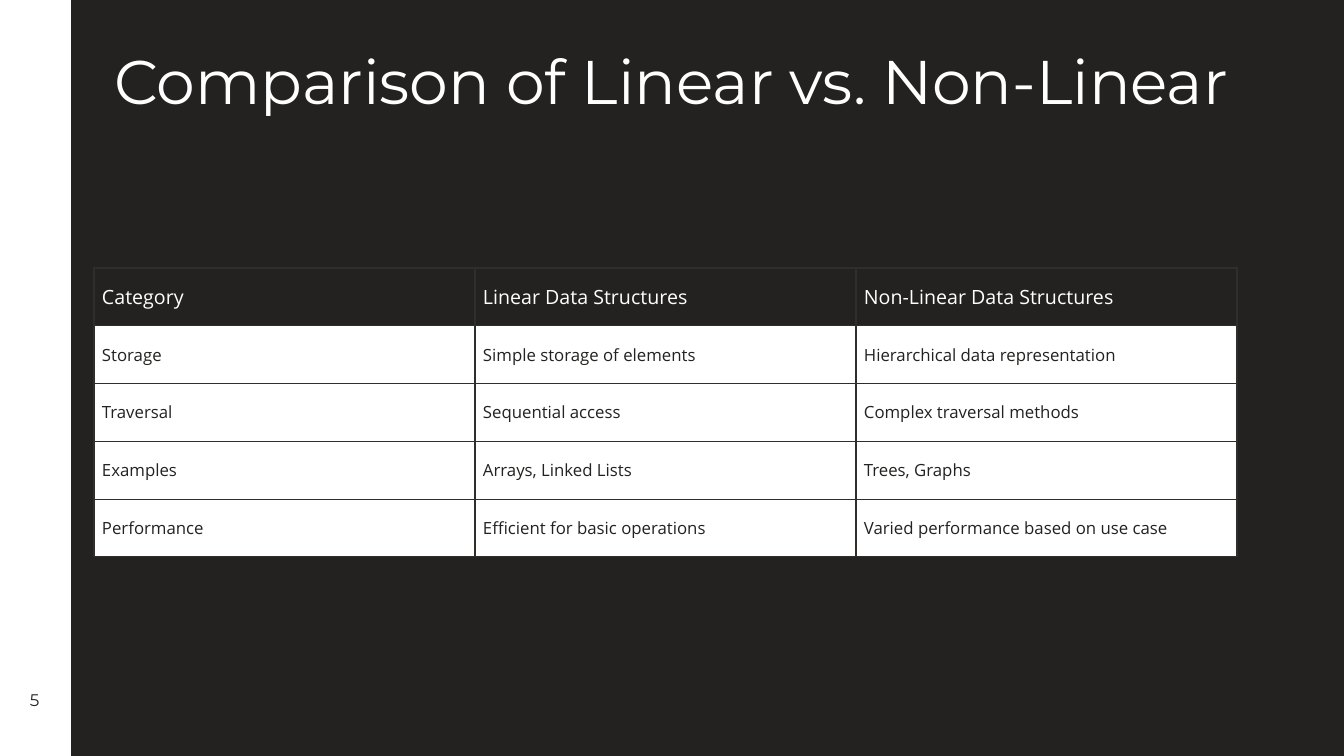
from pptx import Presentation
from pptx.dml.color import RGBColor
from pptx.enum.shapes import MSO_CONNECTOR, MSO_SHAPE
from pptx.enum.text import MSO_ANCHOR, PP_ALIGN
from pptx.oxml import parse_xml
from pptx.oxml.ns import nsdecls
from pptx.util import Pt

TITLE = "Comparison of Linear vs. Non-Linear"
NUMBER = "5"
ROWS = [
    ("Category", "Linear Data Structures", "Non-Linear Data Structures"),
    ("Storage", "Simple storage of elements", "Hierarchical data representation"),
    ("Traversal", "Sequential access", "Complex traversal methods"),
    ("Examples", "Arrays, Linked Lists", "Trees, Graphs"),
    ("Performance", "Efficient for basic operations", "Varied performance based on use case"),
]
DARK = RGBColor(0x23, 0x22, 0x20)
WHITE = RGBColor(0xFF, 0xFF, 0xFF)
EDGE = RGBColor(0x2F, 0x2E, 0x2C)
HEAD, BODY = "Montserrat", "Open Sans"
WIDE, HIGH, BAR = 1344, 756, 70


def px(n):
    return round(n * 914400 / 100.8)


def box(*sides):
    return [px(n) for n in sides]


def style(para, face, size, color):
    for run in para.runs:
        font = run.font
        font.name, font.size, font.bold = face, Pt(size), False
        font.color.rgb = color


def border(cell):
    props = cell._tc.get_or_add_tcPr()
    for i, side in enumerate(("lnL", "lnR", "lnT", "lnB")):
        line = parse_xml(
            f'<a:{side} {nsdecls("a")} w="{Pt(1)}"><a:solidFill>'
            f'<a:srgbClr val="{EDGE}"/></a:solidFill></a:{side}>')
        props.insert(i, line)


def panel(slide):
    bar = slide.shapes.add_shape(MSO_SHAPE.RECTANGLE, *box(0, 0, BAR, HIGH))
    bar.shadow.inherit = False
    bar.fill.solid()
    bar.fill.fore_color.rgb = WHITE
    bar.line.fill.background()
    rule = slide.shapes.add_connector(MSO_CONNECTOR.STRAIGHT, *box(BAR, 0, BAR, HIGH))
    rule.line.color.rgb = WHITE
    rule.line.width = Pt(1.5)
    rule._element.spPr.append(parse_xml(f'<a:effectLst {nsdecls("a")}/>'))


def grid(slide):
    table = slide.shapes.add_table(
        len(ROWS), len(ROWS[0]), *box(94, 268, 1143, 289)).table
    table.horz_banding = False
    for r, row in enumerate(ROWS):
        fill, ink, size = (DARK, WHITE, 14) if r == 0 else (WHITE, DARK, 12)
        for c, text in enumerate(row):
            cell = table.cell(r, c)
            cell.text_frame.text = text
            cell.vertical_anchor = MSO_ANCHOR.MIDDLE
            cell.margin_left = cell.margin_right = px(8)
            cell.margin_top = cell.margin_bottom = px(8)
            cell.fill.solid()
            cell.fill.fore_color.rgb = fill
            style(cell.text_frame.paragraphs[0], BODY, size, ink)
            border(cell)


def label(shape, text, size, color, align):
    frame = shape.text_frame
    frame.text = text
    frame.word_wrap = True
    frame.vertical_anchor = MSO_ANCHOR.MIDDLE
    frame.margin_right = 0 if align == PP_ALIGN.LEFT else frame.margin_left
    para = frame.paragraphs[0]
    para.alignment = align
    style(para, HEAD, size, color)


def main():
    deck = Presentation()
    deck.slide_width, deck.slide_height = box(WIDE, HIGH)
    slide = deck.slides.add_slide(deck.slide_layouts[5])
    back = slide.background.fill
    back.solid()
    back.fore_color.rgb = DARK
    panel(slide)
    grid(slide)
    title = slide.shapes.title
    title.left, title.top, title.width, title.height = box(104, 33, 1135, 94)
    label(title, TITLE, 44, WHITE, PP_ALIGN.LEFT)
    page = slide.shapes.add_textbox(*box(0, 680, 69, 39))
    label(page, NUMBER, 12, DARK, PP_ALIGN.CENTER)
    deck.save("out.pptx")


if __name__ == "__main__":
    main()
